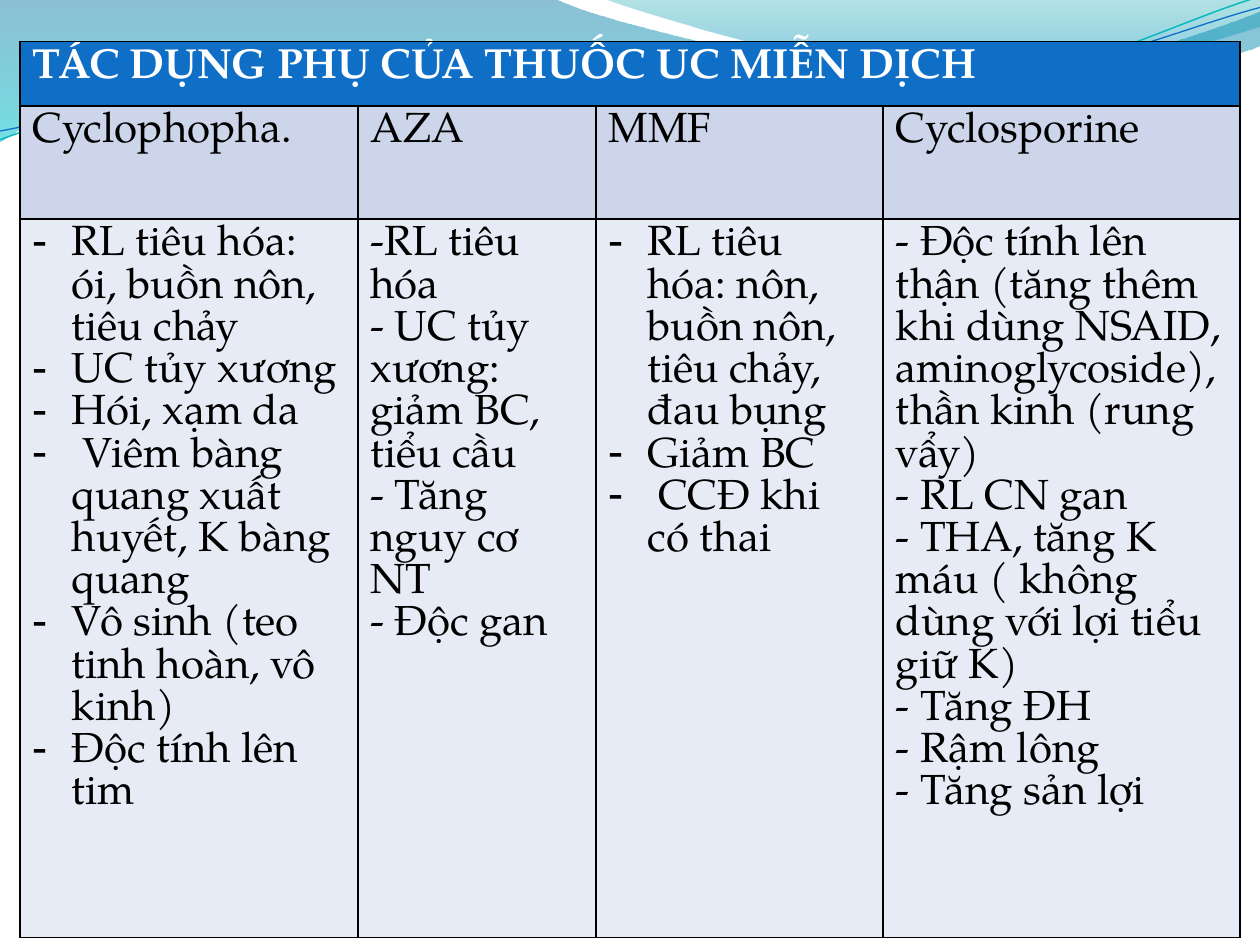
import math

from lxml import etree
from pptx import Presentation
from pptx import util as u
from pptx.dml.color import RGBColor
from pptx.oxml import parse_xml
from pptx.oxml.ns import nsdecls, qn

FONT, SIZE = "TeX Gyre Pagella", u.Pt(24)
WHITE = RGBColor(0xFF, 0xFF, 0xFF)
BLACK = RGBColor(0, 0, 0)
BLUE = RGBColor(0x0F, 0x6F, 0xC6)
TEAL = RGBColor(0x0A, 0xB8, 0xBF)
HEADER_FILL = RGBColor(0xCC, 0xD5, 0xEA)
BODY_FILL = RGBColor(0xE7, 0xEB, 0xF5)

TITLE = "TÁC DỤNG PHỤ CỦA THUỐC UC MIỄN DỊCH"
# Drug, column width, dash bullets or not, side effects ("\v" is a line break)
DRUGS = [
    ("Cyclophopha.", 2.68, True, [
        "RL tiêu hóa: ói, buồn nôn, tiêu chảy", "UC tủy xương", "Hói, xạm da",
        " Viêm bàng quang xuất huyết, K bàng quang",
        "Vô sinh (teo tinh hoàn, vô kinh)", "Độc tính lên tim"]),
    ("AZA", 1.89, False, [
        "-RL tiêu hóa", "- UC tủy xương: giảm BC, tiểu cầu",
        "- Tăng nguy cơ NT\v- Độc gan"]),
    ("MMF", 2.28, True, [
        "RL tiêu hóa: nôn, buồn nôn, tiêu chảy, đau bụng", "Giảm BC",
        " CCĐ khi có thai"]),
    ("Cyclosporine", 2.83, False, [
        "- Độc tính lên thận (tăng thêm khi dùng NSAID, aminoglycoside), "
        "thần kinh (rung vẩy)\v- RL CN gan\v"
        "- THA, tăng K máu ( không dùng với lợi tiểu giữ K)\v"
        "- Tăng ĐH\v- Rậm lông\v- Tăng sản lợi"]),
]
ROW_HEIGHTS = [0.51, 0.9, 5.7]
TABLE_LEFT, TABLE_TOP = 0.16, 0.33

# Each wave: start point, then segments of one point (line) or three (Bezier).
# Gradient stops: position %, colour, opacity %
WAVE_FILLS = [
    ((0, 0), [[(4.4, -0.01)], [(4.76, 0.17), (6.64, 0.63), (7.58, 0.63)],
              [(8.53, 0.63), (9.58, 0.26), (10, 0.09)], [(10.01, 0.36)],
              [(9.83, 0.44), (8.7, 0.76), (7.46, 0.75)],
              [(6.22, 0.75), (3.82, 0.28), (2.57, 0.34)],
              [(1.29, 0.36), (0.46, 0.83), (-0.01, 1.13)], [(0, 0)]],
     [(0, "0074A1", 45), (100, "00C6CF", 55)]),
    ((4.79, -0.01), [[(5.09, 0.11), (6.82, 0.62), (7.69, 0.65)],
                     [(8.56, 0.69), (9.61, 0.32), (10, 0.21)],
                     [(10, 0)], [(4.79, -0.01)]],
     [(0, "00A1A9", 30), (80, "008BBF", 45)]),
]
WAVE_LINES = [
    ((0, 1.11), [[(0.48, 0.93), (1.58, 0.57), (2.77, 0.52)],
                 [(3.95, 0.47), (5.93, 0.89), (7.13, 0.8)],
                 [(8.33, 0.71), (9.38, 0.15), (9.98, -0.02)]], TEAL, 0.85),
    ((0, 1.04), [[(0.47, 0.96), (1.64, 0.61), (2.83, 0.56)],
                 [(4.03, 0.51), (5.97, 0.84), (7.17, 0.75)],
                 [(8.36, 0.67), (9.41, 0.21), (10, 0.06)]], BLUE, 0.75),
]
LINE_TILT = -2.7
LINE_CENTRE = (5, 0.58)


def untilt(point):
    """Turn a point back, so that the shape's own rotation puts it in place."""
    angle = math.radians(-LINE_TILT)
    x, y = (value - centre for value, centre in zip(point, LINE_CENTRE))
    return (LINE_CENTRE[0] + x * math.cos(angle) - y * math.sin(angle),
            LINE_CENTRE[1] + x * math.sin(angle) + y * math.cos(angle))


def add_wave(slide, start, segments, close):
    """Build the outline through the end points, then bend its curved parts."""
    def to_emu(point):
        return tuple(u.Inches(value) for value in point)

    builder = slide.shapes.build_freeform(*to_emu(start))
    builder.add_line_segments([to_emu(segment[-1]) for segment in segments], close)
    shape = builder.convert_to_shape()
    shape.shadow.inherit = False
    lines = list(shape._element.spPr.iter(qn("a:lnTo")))
    for line, segment in zip(lines, segments):
        if len(segment) == 3:
            curve = etree.Element(qn("a:cubicBezTo"))
            for x, y in map(to_emu, segment):
                etree.SubElement(curve, qn("a:pt"), x=str(x - shape.left),
                                 y=str(y - shape.top))
            line.getparent().replace(line, curve)
    return shape


def fill_gradient(shape, stops):
    """Give the shape a top-to-bottom gradient with transparency."""
    shape.fill.background()
    stop_xml = "".join(
        f'<a:gs pos="{position * 1000}"><a:srgbClr val="{colour}">'
        f'<a:alpha val="{opacity * 1000}"/></a:srgbClr></a:gs>'
        for position, colour, opacity in stops)
    gradient = parse_xml(
        f'<a:gradFill {nsdecls("a")}><a:gsLst>{stop_xml}</a:gsLst>'
        '<a:lin ang="5400000" scaled="0"/></a:gradFill>')
    properties = shape._element.spPr
    properties.replace(properties.find(qn("a:noFill")), gradient)


def add_dash(paragraph):
    properties = paragraph._p.get_or_add_pPr()
    indent = u.Inches(0.31)
    properties.set("marL", str(indent))
    properties.set("indent", str(-indent))
    etree.SubElement(properties, qn("a:buFontTx"))
    etree.SubElement(properties, qn("a:buChar"), char="-")


def fill_cell(cell, paragraphs, fill, colour=BLACK, bold=False, dashes=False):
    properties = cell._tc.get_or_add_tcPr()
    for side in "LRTB":
        properties.append(parse_xml(
            f'<a:ln{side} {nsdecls("a")} w="{u.Pt(1)}"><a:solidFill>'
            f'<a:srgbClr val="{BLACK}"/></a:solidFill></a:ln{side}>'))
    cell.fill.solid()
    cell.fill.fore_color.rgb = fill
    frame = cell.text_frame
    for index, content in enumerate(paragraphs):
        paragraph = frame.add_paragraph() if index else frame.paragraphs[0]
        paragraph.text = content
        if dashes:
            add_dash(paragraph)
        font = paragraph.font
        font.name, font.size, font.bold = FONT, SIZE, bold
        font.color.rgb = colour


def add_drug_table(slide):
    widths = [width for _, width, _, _ in DRUGS]
    table = slide.shapes.add_table(
        len(ROW_HEIGHTS), len(DRUGS), u.Inches(TABLE_LEFT), u.Inches(TABLE_TOP),
        u.Inches(sum(widths)), u.Inches(sum(ROW_HEIGHTS))).table
    for row, height in zip(table.rows, ROW_HEIGHTS):
        row.height = u.Inches(height)
    table.cell(0, 0).merge(table.cell(0, len(DRUGS) - 1))
    for index, (drug, width, dashes, effects) in enumerate(DRUGS):
        table.columns[index].width = u.Inches(width)
        fill_cell(table.cell(0, index), [] if index else [TITLE], BLUE, WHITE, True)
        fill_cell(table.cell(1, index), [drug], HEADER_FILL)
        fill_cell(table.cell(2, index), effects, BODY_FILL, dashes=dashes)


def main():
    presentation = Presentation()
    presentation.slide_width, presentation.slide_height = u.Inches(10), u.Inches(7.5)
    slide = presentation.slides.add_slide(presentation.slide_layouts[6])
    for start, segments, stops in WAVE_FILLS:
        shape = add_wave(slide, start, segments, close=True)
        fill_gradient(shape, stops)
        shape.line.fill.background()
    for start, segments, colour, weight in WAVE_LINES:
        level = [[untilt(point) for point in segment] for segment in segments]
        shape = add_wave(slide, untilt(start), level, close=False)
        shape.rotation = LINE_TILT
        shape.fill.background()
        shape.line.color.rgb = colour
        shape.line.width = u.Pt(weight)
    add_drug_table(slide)
    presentation.save("out.pptx")


if __name__ == "__main__":
    main()
